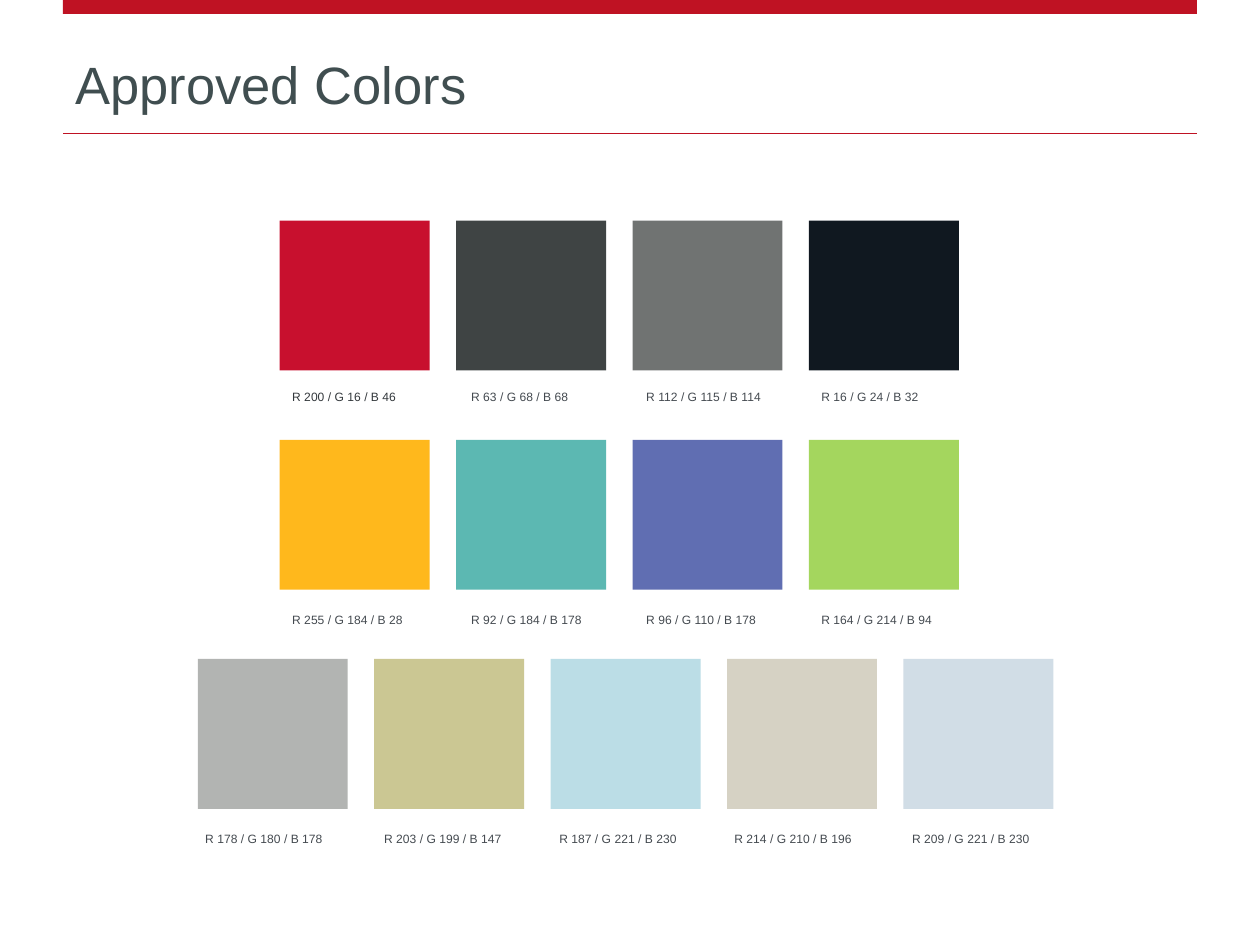
from dataclasses import dataclass

from lxml.etree import SubElement
from pptx import Presentation
from pptx.dml.color import RGBColor
from pptx.enum.shapes import MSO_CONNECTOR, MSO_SHAPE
from pptx.enum.text import MSO_ANCHOR, MSO_AUTO_SIZE, PP_ALIGN
from pptx.oxml.ns import qn
from pptx.util import Inches, Pt


@dataclass(frozen=True)
class Theme:
    font: str = "Arial"
    title_size: int = 30
    label_size: int = 12
    accent: RGBColor = RGBColor(0xBF, 0x12, 0x23)
    title: RGBColor = RGBColor(0x40, 0x4E, 0x50)
    label: RGBColor = RGBColor(0x44, 0x4A, 0x50)
    label_dark: RGBColor = RGBColor(0x33, 0x38, 0x3C)


@dataclass(frozen=True)
class PaletteRow:
    left: float
    label_left: float
    label_top: float
    colors: tuple


THEME = Theme()
MARGIN, CONTENT_WIDTH = 0.5, 9
SWATCH_SIZE, COLUMN_STEP = 1.19, 1.4
FIRST_ROW_TOP, ROW_STEP = 1.75, 1.74
LABEL_OFFSETS = (0, 1.42, 2.81, 4.2, 5.61)
LABEL_WIDTH, LABEL_HEIGHT = 1.29, 0.24

PALETTE = (
    PaletteRow(2.22, 2.22, 3.02,
               ((200, 16, 46), (63, 68, 68), (112, 115, 114), (16, 24, 32))),
    PaletteRow(2.22, 2.22, 4.79,
               ((255, 184, 28), (92, 184, 178), (96, 110, 178), (164, 214, 94))),
    PaletteRow(1.57, 1.53, 6.53,
               ((178, 180, 178), (203, 199, 147), (187, 221, 230),
                (214, 210, 196), (209, 221, 230))),
)


def format_runs(paragraph, size, color):
    for run in paragraph.runs:
        run.font.name = THEME.font
        run.font.size = Pt(size)
        run.font.color.rgb = color


def add_rectangle(slide, left, top, width, height, color):
    shape = slide.shapes.add_shape(
        MSO_SHAPE.RECTANGLE, *map(Inches, (left, top, width, height)))
    shape.shadow.inherit = False
    shape.fill.solid()
    shape.fill.fore_color.rgb = color
    shape.line.fill.background()


def add_rule(slide, top):
    rule = slide.shapes.add_connector(
        MSO_CONNECTOR.STRAIGHT,
        *map(Inches, (MARGIN, top, MARGIN + CONTENT_WIDTH, top)))
    rule.line.color.rgb = THEME.accent
    rule.line.width = Pt(1)
    SubElement(rule._element.spPr, qn("a:effectLst"))


def add_label(slide, left, top, text, color):
    """Add a superscript caption."""
    box = slide.shapes.add_textbox(
        *map(Inches, (left, top, LABEL_WIDTH, LABEL_HEIGHT)))
    text_frame = box.text_frame
    text_frame.word_wrap = True
    text_frame.auto_size = MSO_AUTO_SIZE.SHAPE_TO_FIT_TEXT
    text_frame.text = text
    paragraph = text_frame.paragraphs[0]
    format_runs(paragraph, THEME.label_size, color)
    paragraph.runs[0]._r.get_or_add_rPr().set("baseline", "30000")


def set_title(slide, text):
    title = slide.shapes.title
    title.left, title.top, title.width, title.height = map(
        Inches, (MARGIN, 0.28, CONTENT_WIDTH, 0.68))
    text_frame = title.text_frame
    text_frame.text = text
    text_frame.auto_size = MSO_AUTO_SIZE.NONE
    text_frame.vertical_anchor = MSO_ANCHOR.BOTTOM
    paragraph = text_frame.paragraphs[0]
    paragraph.alignment = PP_ALIGN.LEFT
    format_runs(paragraph, THEME.title_size, THEME.title)


def add_palette_row(slide, row_index, row):
    top = FIRST_ROW_TOP + row_index * ROW_STEP
    for column, (red, green, blue) in enumerate(row.colors):
        add_rectangle(slide, row.left + column * COLUMN_STEP, top,
                      SWATCH_SIZE, SWATCH_SIZE, RGBColor(red, green, blue))
        is_first = row_index == column == 0
        add_label(slide, row.label_left + LABEL_OFFSETS[column], row.label_top,
                  f"R {red} / G {green} / B {blue}",
                  THEME.label_dark if is_first else THEME.label)


def main():
    presentation = Presentation()
    presentation.slide_width, presentation.slide_height = Inches(10), Inches(7.5)
    slide = presentation.slides.add_slide(presentation.slide_layouts[5])
    add_rectangle(slide, MARGIN, 0, CONTENT_WIDTH, 0.11, THEME.accent)
    add_rule(slide, 1.06)
    set_title(slide, "Approved Colors")
    for row_index, row in enumerate(PALETTE):
        add_palette_row(slide, row_index, row)
    presentation.save("out.pptx")


if __name__ == "__main__":
    main()
